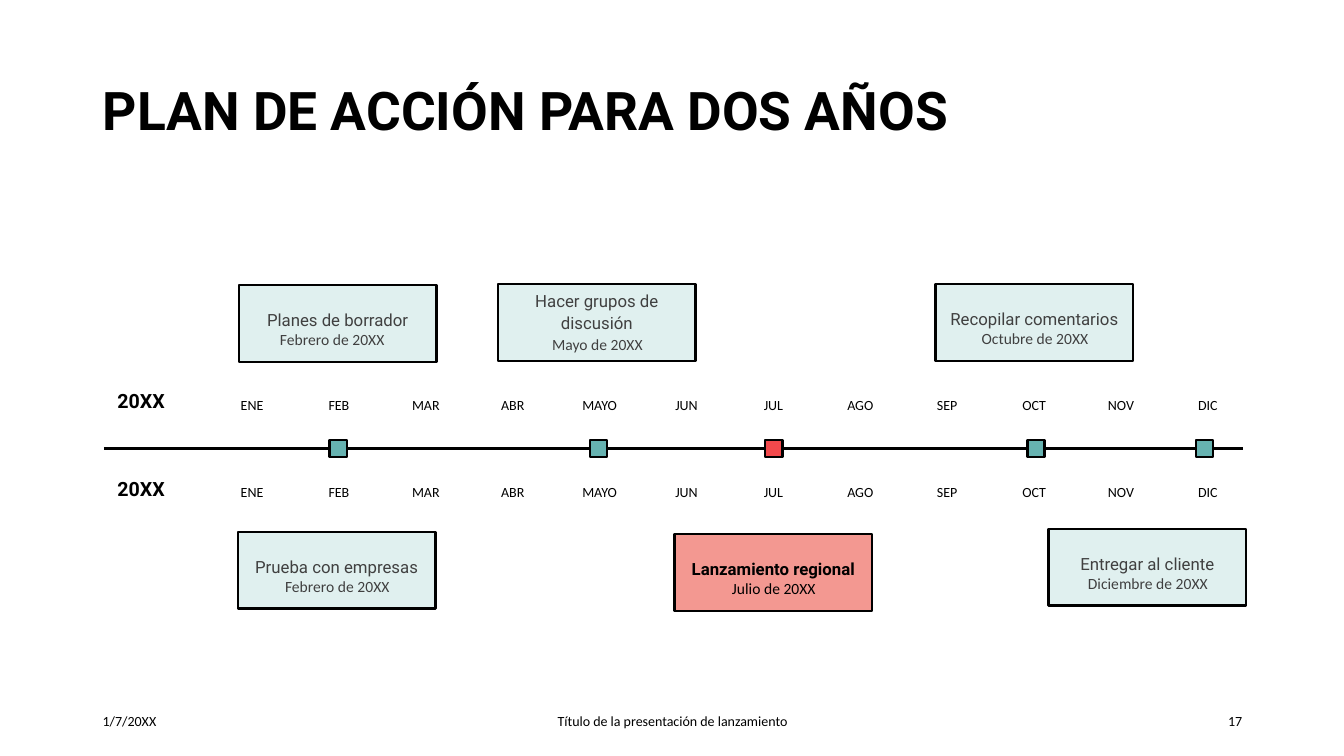
"""Build a two-year action plan slide with a monthly timeline."""
from dataclasses import dataclass

from pptx import Presentation
from pptx.dml.color import RGBColor
from pptx.enum.shapes import MSO_CONNECTOR, MSO_SHAPE
from pptx.enum.text import MSO_ANCHOR, MSO_AUTO_SIZE, PP_ALIGN
from pptx.oxml.ns import qn
from pptx.util import Inches, Pt

LEFT, MID, RIGHT = PP_ALIGN.LEFT, PP_ALIGN.CENTER, PP_ALIGN.RIGHT
TOP, CENTER = MSO_ANCHOR.TOP, MSO_ANCHOR.MIDDLE
RECT, LINE = MSO_SHAPE.RECTANGLE, MSO_CONNECTOR.STRAIGHT
FIXED = MSO_AUTO_SIZE.NONE


@dataclass(frozen=True)
class Theme:
    head: str = "Roboto"
    body: str = "Calibri"
    ink: str = "000000"
    gray: str = "404040"
    pale: str = "E0F0EF"
    teal: str = "66B2B0"
    rose: str = "F39891"
    red: str = "F2494C"
    title: float = 38
    year: float = 14
    task: float = 12
    date: float = 11.1
    small: float = 10
    axis: float = 2
    edge: float = 1.75


def write(frame, text, font, size, color, bold=False, align=LEFT,
          anchor=TOP, space=1.0):
    frame.word_wrap = True
    frame.auto_size = FIXED
    frame.vertical_anchor = anchor
    frame.text = text
    para = frame.paragraphs[0]
    para.alignment = align
    para.line_spacing = space
    para.space_before = Pt(0)
    para.font.name = font
    para.font.size = Pt(size)
    para.font.bold = bold
    para.font.color.rgb = RGBColor.from_string(color)


class Plan:
    def __init__(self, slide, theme):
        self.slide = slide
        self.theme = theme

    def title(self, text, x, y, w, h):
        t = self.theme
        shape = self.slide.shapes.title
        shape.left, shape.top = Inches(x), Inches(y)
        shape.width, shape.height = Inches(w), Inches(h)
        write(shape.text_frame, text, t.head, t.title, t.ink, bold=True,
              anchor=CENTER, space=0.9)

    def label(self, text, x, y, w, h, **style):
        box = self.slide.shapes.add_textbox(
            Inches(x), Inches(y), Inches(w), Inches(h))
        write(box.text_frame, text, **style)

    def rect(self, x, y, w, h, fill):
        shape = self.slide.shapes.add_shape(
            RECT, Inches(x), Inches(y), Inches(w), Inches(h))
        shape.shadow.inherit = False
        shape.fill.solid()
        shape.fill.fore_color.rgb = RGBColor.from_string(fill)
        shape.line.color.rgb = RGBColor.from_string(self.theme.ink)
        shape.line.width = Pt(self.theme.edge)
        return shape

    def axis(self, x, end, y):
        line = self.slide.shapes.add_connector(
            LINE, Inches(x), Inches(y), Inches(end), Inches(y))
        line.line.color.rgb = RGBColor.from_string(self.theme.ink)
        line.line.width = Pt(self.theme.axis)
        props = line._element.spPr
        props.append(props.makeelement(qn("a:effectLst"), {}))

    def months(self, year, top, names):
        t = self.theme
        first, last = 2.15, 11.63
        step = (last - first) / (len(names) - 1)
        self.label(year, 1, top - 0.155, 0.8, 0.5, font=t.head, size=t.year,
                   color=t.ink, bold=True, align=MID, anchor=CENTER, space=0.9)
        for i, name in enumerate(names):
            self.label(name, first + i * step, top, 0.7, 0.3, font=t.body,
                       size=t.small, color=t.ink, align=MID, space=0.9)

    def card(self, task, date, x, y, shift=0.06, drop=0.45, space=2.0,
             tight=0.7, key=False):
        t = self.theme
        color = t.ink if key else t.gray
        frame = self.rect(x, y, 1.96, 0.76,
                          t.rose if key else t.pale).text_frame
        frame.margin_top = Inches(0.04)
        write(frame, task, t.head, t.task, color, bold=key, align=MID,
              space=space)
        self.label(date, x + shift, y + drop, 1.85, 0.25, font=t.body,
                   size=t.date, color=color, align=MID, space=tight)


def main():
    theme = Theme()
    deck = Presentation()
    deck.slide_width, deck.slide_height = Inches(13.33), Inches(7.5)
    plan = Plan(deck.slides.add_slide(deck.slide_layouts[5]), theme)

    plan.title("PLAN DE ACCIÓN PARA DOS AÑOS", 0.92, 0.4, 11.5, 1.45)

    level, side = 4.45, 0.17
    plan.axis(1.03, 12.33, level)
    names = "ENE FEB MAR ABR MAYO JUN JUL AGO SEP OCT NOV DIC".split()
    for top in (3.9, 4.77):
        plan.months("20XX", top, names)

    marks = ((3.27, theme.teal), (5.85, theme.teal), (7.59, theme.red),
             (10.19, theme.teal), (11.86, theme.teal))
    for x, fill in marks:
        plan.rect(x, level - side / 2, side, side, fill)

    plan.card("Planes de borrador", "Febrero de 20XX", 2.37, 2.83,
              shift=0, drop=0.44)
    plan.card("Hacer grupos de discusión", "Mayo de 20XX", 4.94, 2.82,
              drop=0.5, space=1.1)
    plan.card("Recopilar comentarios", "Octubre de 20XX", 9.28, 2.82,
              drop=0.42, tight=0.9)
    plan.card("Prueba con empresas", "Febrero de 20XX", 2.36, 5.28)
    plan.card("Lanzamiento regional", "Julio de 20XX", 6.69, 5.3, key=True)
    plan.card("Entregar al cliente", "Diciembre de 20XX", 10.4, 5.25)

    notes = (("1/7/20XX", 0.92, 3, LEFT),
             ("Título de la presentación de lanzamiento", 4.42, 4.5, MID),
             ("17", 9.42, 3, RIGHT))
    for text, x, w, align in notes:
        plan.label(text, x, 6.95, w, 0.4, font=theme.body, size=theme.small,
                   color=theme.ink, align=align, anchor=CENTER)

    deck.save("out.pptx")


if __name__ == "__main__":
    main()
